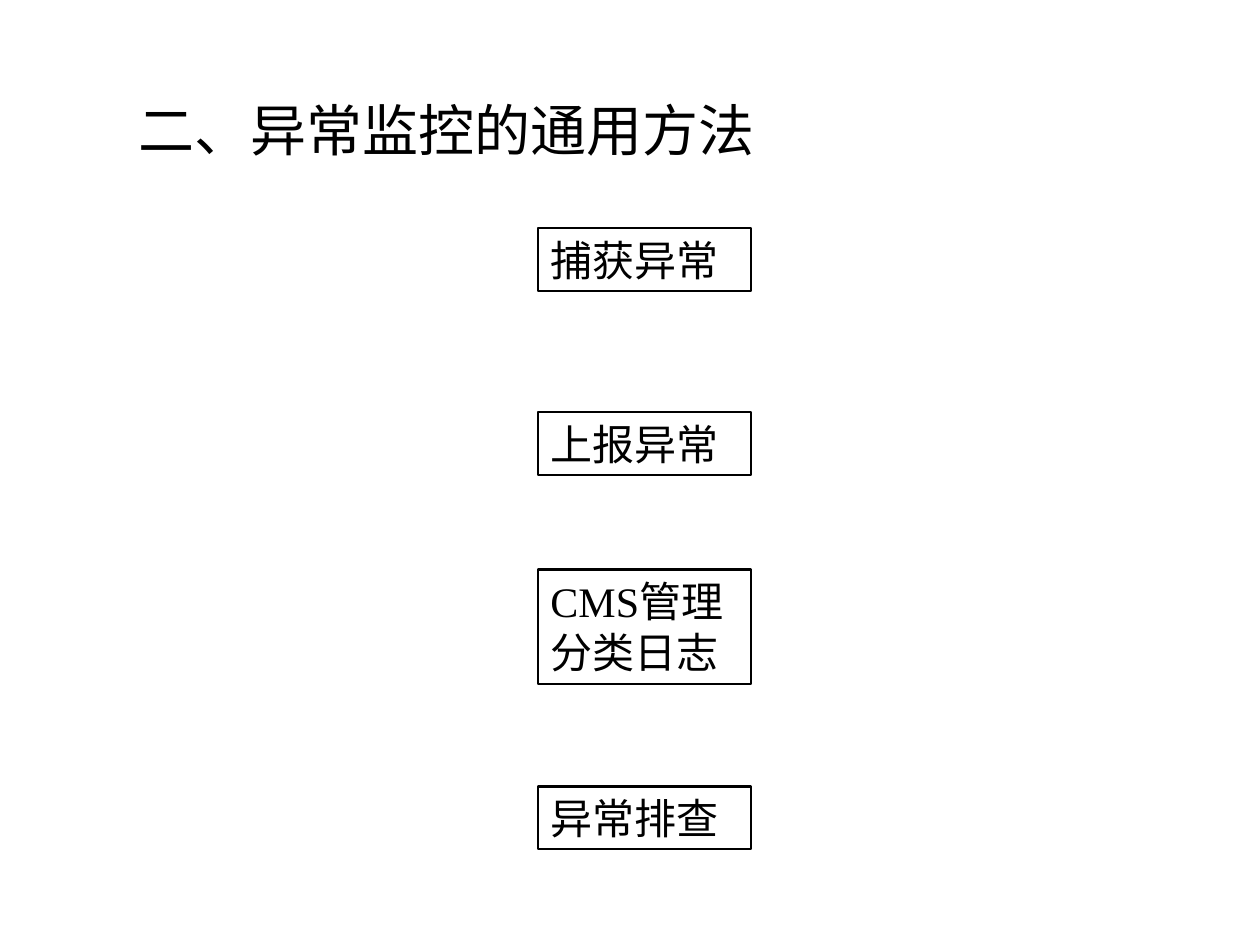
from dataclasses import dataclass

from pptx import Presentation
from pptx.dml.color import RGBColor as Color
from pptx.enum.shapes import MSO_SHAPE as Shape
from pptx.enum.text import MSO_ANCHOR as Anchor, MSO_AUTO_SIZE as Fit, PP_ALIGN as Align
from pptx.util import Inches, Pt


@dataclass(frozen=True)
class Theme:
    """Colours, font, type sizes and line width of the slide."""
    ink: Color = Color(0, 0, 0)
    paper: Color = Color(255, 255, 255)
    font: str = "Times New Roman"
    head: int = 32
    body: int = 24
    rule: float = 1.5


THEME = Theme()
COLS, ROWS = 100, 75
STEPS = (
    ("捕获异常", 18.1, 5),
    ("上报异常", 32.7, 5),
    ("CMS管理分类日志", 45.2, 9.1),
    ("异常排查", 62.4, 5),
)


def place(deck, col, row, wide, high):
    """Turn grid columns and rows into slide lengths."""
    unit_x, unit_y = deck.slide_width / COLS, deck.slide_height / ROWS
    return [round(n) for n in (col * unit_x, row * unit_y, wide * unit_x, high * unit_y)]


def write(shape, text, size=THEME.body, anchor=Anchor.TOP, fit=Fit.NONE):
    """Put left-aligned, wrapped text in a shape."""
    frame = shape.text_frame
    frame.word_wrap = True
    frame.auto_size = fit
    frame.vertical_anchor = anchor
    para = frame.paragraphs[0]
    para.alignment = Align.LEFT
    run = para.add_run()
    run.text = text
    run.font.name = THEME.font
    run.font.size = Pt(size)
    run.font.color.rgb = THEME.ink


def add_head(slide, area, text):
    """Add the slide heading."""
    write(slide.shapes.add_textbox(*area), text, size=THEME.head, anchor=Anchor.MIDDLE)


def add_step(slide, area, text):
    """Add one outlined step of the process."""
    box = slide.shapes.add_shape(Shape.RECTANGLE, *area)
    box.shadow.inherit = False
    box.fill.solid()
    box.fill.fore_color.rgb = THEME.paper
    box.line.color.rgb = THEME.ink
    box.line.width = Pt(THEME.rule)
    write(box, text, fit=Fit.SHAPE_TO_FIT_TEXT)


def main():
    """Build and save the slide."""
    deck = Presentation()
    deck.slide_width, deck.slide_height = Inches(10), Inches(7.5)
    slide = deck.slides.add_slide(deck.slide_layouts[6])
    add_head(slide, place(deck, 10, 5.5, 80, 9.5), "二、异常监控的通用方法")
    for text, row, high in STEPS:
        add_step(slide, place(deck, 42.7, row, 16.9, high), text)
    deck.save("out.pptx")


if __name__ == "__main__":
    main()
